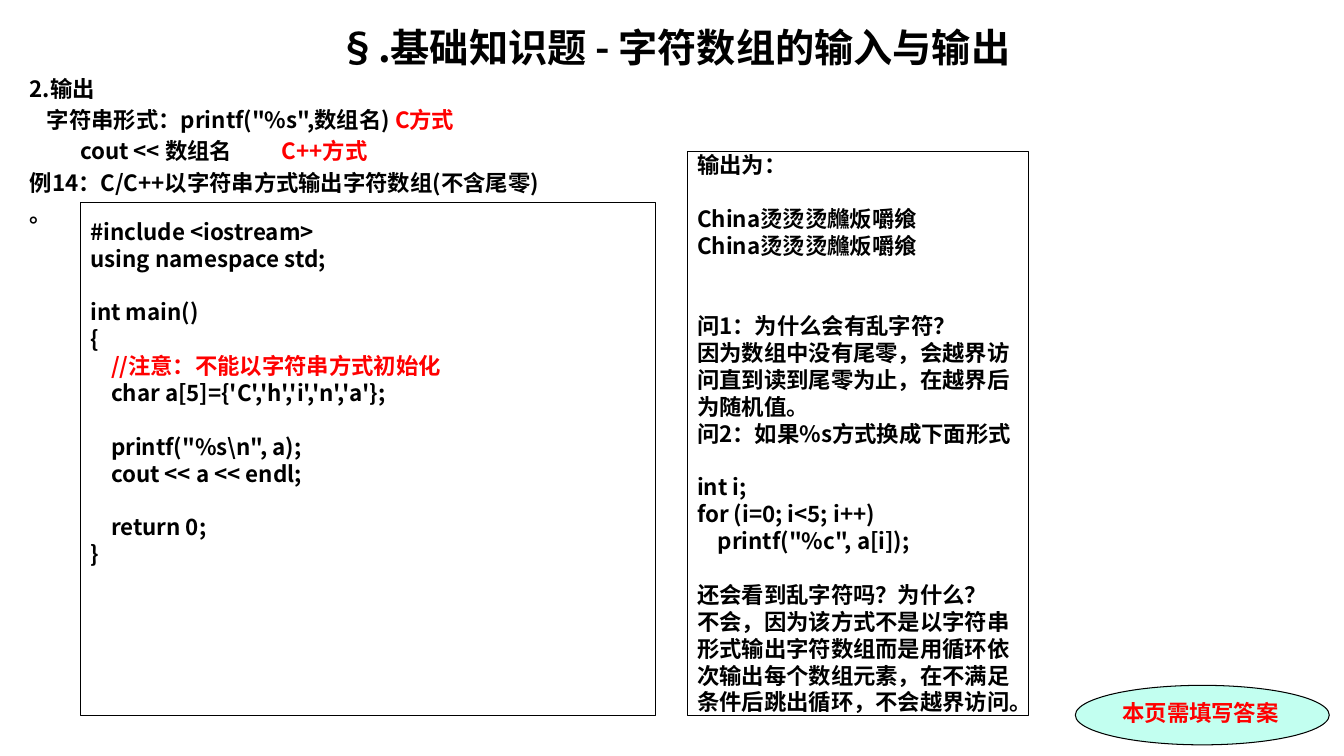
import pptx
import pptx.util
import pptx.dml.color
import pptx.enum.shapes
import pptx.enum.text
import pptx.oxml
import pptx.oxml.ns
from pptx.util import Cm, Pt

COLORS = {"black": "000000", "red": "FF0000", "mint": "C2FFF0"}
SANS, SERIF = "Noto Sans CJK SC", "Times New Roman"
LINE = 19.2
SHAPES = pptx.enum.shapes.MSO_SHAPE
ALIGN = pptx.enum.text.PP_ALIGN


def rgb(name):
    return pptx.dml.color.RGBColor.from_string(COLORS[name])


def add_line(tf, *texts, size=16, font=SANS, colors=("black", "red"),
             align=ALIGN.LEFT, before=0, indent=0, tabs=()):
    p = tf.paragraphs[0]
    if p.runs:
        p = tf.add_paragraph()
    p.alignment = align
    p.line_spacing = Pt(size * 1.2)
    p.space_before = Pt(before)
    pPr = p._p.get_or_add_pPr()
    pPr.set("marL", str(Cm(indent)))
    pPr.set("indent", "0")
    if tabs:
        tabLst = pptx.oxml.parse_xml(
            '<a:tabLst xmlns:a="http://schemas.openxmlformats.org/drawingml/2006/main"/>')
        for pos in tabs:
            tab = tabLst.makeelement(pptx.oxml.ns.qn("a:tab"), {"pos": str(Cm(pos)), "algn": "l"})
            tabLst.append(tab)
        pPr.append(tabLst)
    for text, color in zip(texts, colors):
        r = p.add_run()
        r.text = text
        r.font.size = Pt(size)
        r.font.bold = True
        r.font.name = font
        r.font.color.rgb = rgb(color)
        ea = r._r.get_or_add_rPr().makeelement(pptx.oxml.ns.qn("a:ea"), {"typeface": SANS})
        r._r.rPr.find(pptx.oxml.ns.qn("a:latin")).addnext(ea)


prs = pptx.Presentation()
prs.slide_width, prs.slide_height = Cm(33.87), Cm(19.05)
s = prs.slides.add_slide(prs.slide_layouts[6])

tf = s.shapes.add_textbox(Cm(0.5), Cm(0.46), Cm(33), Cm(18)).text_frame
tf.word_wrap = True
add_line(tf, "§.基础知识题 - 字符数组的输入与输出", size=28, align=ALIGN.CENTER)
add_line(tf, "2.输出", before=3.2)
add_line(tf, '字符串形式：printf("%s",数组名) ', "C方式", before=3.2, indent=0.43)
add_line(tf, "\tcout << 数组名\t", "C++方式", before=3.2, tabs=(1.92, 6.8))
add_line(tf, "例14：C/C++以字符串方式输出字符数组(不含尾零)", before=3.2)
add_line(tf, "。", before=3.2)

code = [
    (0, 0, ["#include <iostream>", "using namespace std;"]),
    (1, 0, ["int main()", "{"]),
    (0, 0.52, ["//注意：不能以字符串方式初始化", "char a[5]={'C','h','i','n','a'};"]),
    (1, 0.52, ['printf("%s\\n", a);', "cout << a << endl;"]),
    (1, 0.52, ["return 0;"]),
    (0, 0, ["}"]),
]
answers = [
    (0, 0, ["输出为："]),
    (1, 0, ["China烫烫烫虪炍嚼飨", "China烫烫烫虪炍嚼飨"]),
    (2, 0, ["问1：为什么会有乱字符？", "因为数组中没有尾零，会越界访",
            "问直到读到尾零为止，在越界后", "为随机值。", "问2：如果%s方式换成下面形式"]),
    (1, 0, ["int i;", "for (i=0; i<5; i++)"]),
    (0, 0.52, ['printf("%c", a[i]);']),
    (1, 0, ["还会看到乱字符吗？为什么？", "不会，因为该方式不是以字符串",
            "形式输出字符数组而是用循环依", "次输出每个数组元素，在不满足",
            "条件后跳出循环，不会越界访问。"]),
]
note = [(0, 0, ["本页需填写答案"])]

for kind, box, fill, inset, wrap, font, blocks in [
    (SHAPES.OVAL, (27.1, 17.27, 6.4, 1.5), "mint", 0.13, True, SERIF, note),
    (SHAPES.RECTANGLE, (2.03, 5.11, 14.48, 12.93), None, 0.38, False, SANS, code),
    (SHAPES.RECTANGLE, (17.32, 3.81, 8.61, 14.22), None, 0, False, SANS, answers),
]:
    sp = s.shapes.add_shape(kind, *map(Cm, box))
    sp.shadow.inherit = False
    if fill:
        sp.fill.solid()
        sp.fill.fore_color.rgb = rgb(fill)
    else:
        sp.fill.background()
    sp.line.color.rgb = rgb("black")
    sp.line.width = Pt(0.75)
    tf = sp.text_frame
    tf.word_wrap = wrap
    tf.vertical_anchor = pptx.enum.text.MSO_ANCHOR.TOP
    tf.margin_top, tf.margin_bottom = Cm(inset), Cm(0)
    for gap, indent, lines in blocks:
        for i, text in enumerate(lines):
            red = blocks is note or text.startswith("//")
            add_line(tf, text, font=font, colors=["red" if red else "black"],
                     before=0 if i else gap * LINE, indent=indent)

prs.save("out.pptx")
